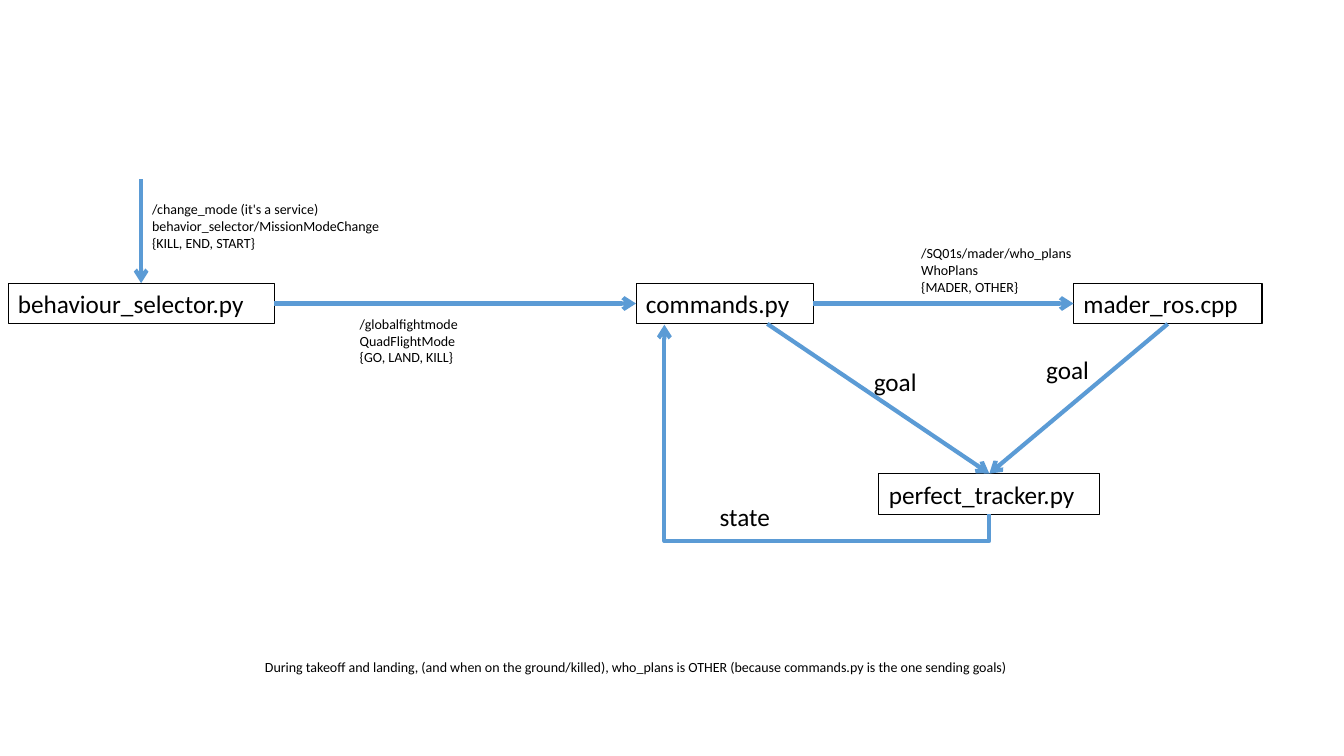
"""Draws the message flow between the flight control nodes on one slide."""
import pptx
import pptx.util
import pptx.dml.color
import pptx.enum.shapes
import pptx.enum.text
import pptx.oxml
import pptx.oxml.ns

qn = pptx.oxml.ns.qn
kinds = pptx.enum.shapes.MSO_CONNECTOR


def tint(code):
    return pptx.dml.color.RGBColor.from_string(code)


class Board:
    cols = 160
    face, ink, blue = "Calibri", "000000", "5B9BD5"
    big, small = 18, 10
    tall = 4.85

    def __init__(self, deck):
        self.slide = deck.slides.add_slide(deck.slide_layouts[6])
        self.cell = deck.slide_width / self.cols

    def size(self, *cells):
        return [round(n * self.cell) for n in cells]

    def letter(self, shape, lines, size):
        frame = shape.text_frame
        frame.text = "\n".join(lines)
        frame.word_wrap = False
        frame.auto_size = pptx.enum.text.MSO_AUTO_SIZE.SHAPE_TO_FIT_TEXT
        for para in frame.paragraphs:
            para.alignment = pptx.enum.text.PP_ALIGN.LEFT
            para.font.name = self.face
            para.font.size = pptx.util.Pt(size)
            para.font.color.rgb = tint(self.ink)

    def node(self, name, col, row, wide):
        shape = self.slide.shapes.add_shape(
            pptx.enum.shapes.MSO_SHAPE.RECTANGLE,
            *self.size(col, row, wide, self.tall))
        shape.shadow.inherit = False
        shape.fill.background()
        shape.line.color.rgb = tint(self.ink)
        shape.line.width = pptx.util.Pt(0.75)
        self.letter(shape, [name], self.big)
        return shape

    def label(self, lines, col, row, wide, high, size):
        shape = self.slide.shapes.add_textbox(
            *self.size(col, row, wide, high))
        self.letter(shape, lines, size)

    def spot(self, shape, across, down):
        return (round(shape.left + across * shape.width),
                round(shape.top + down * shape.height))

    def arrow(self, start, end, kind=kinds.STRAIGHT):
        link = self.slide.shapes.add_connector(kind, *start, *end)
        link.line.color.rgb = tint(self.blue)
        link.line.width = pptx.util.Pt(3)
        props = link._element.spPr
        line = props.find(qn("a:ln"))
        line.append(line.makeelement(qn("a:tailEnd"), {"type": "arrow"}))
        props.append(props.makeelement(qn("a:effectLst"), {}))
        return link

    def loop(self, start, end, *bends):
        wide, high = start[1] - end[1], start[0] - end[0]
        midx, midy = (start[0] + end[0]) // 2, (start[1] + end[1]) // 2
        link = self.arrow((midx + wide // 2, midy - high // 2),
                          (midx - wide // 2, midy + high // 2), kinds.ELBOW)
        props = link._element.spPr
        props.find(qn("a:xfrm")).set("rot", str(90 * 60000))
        shape = props.find(qn("a:prstGeom"))
        shape.set("prst", "bentConnector4")
        guides = shape.find(qn("a:avLst"))
        for num, bend in enumerate(bends, 1):
            guides.append(guides.makeelement(qn("a:gd"), {
                "name": f"adj{num}", "fmla": f"val {round(bend * 100000)}"}))


deck = pptx.Presentation()
deck.slide_width = pptx.util.Inches(13.33)
deck.slide_height = pptx.util.Inches(7.5)
board = Board(deck)
spot = board.spot

top = 33.72
command = board.node("commands.py", 75.72, top, 21.12)
mader = board.node("mader_ros.cpp", 127.8, top, 22.44)
select = board.node("behaviour_selector.py", 0.96, top, 31.68)
track = board.node("perfect_tracker.py", 104.64, 56.4, 26.28)

board.arrow(spot(command, 0.74, 1), spot(track, 0.5, 0))
board.arrow(spot(mader, 0.5, 1), spot(track, 0.5, 0))
board.arrow(spot(select, 1, 0.5), spot(command, 0, 0.5))
board.arrow(spot(command, 1, 0.5), spot(mader, 0, 0.5))
board.arrow(spot(select, 0.5, -2.55), spot(select, 0.5, 0))
board.loop(spot(track, 0.5, 1), spot(command, 0.16, 1.02), -0.14, 1)

for word, col, row, wide in [
        ("goal", 102.84, 43.08, 8.04),
        ("goal", 123.36, 41.64, 8.04),
        ("state", 84.48, 59.16, 8.88)]:
    board.label([word], col, row, wide, board.tall, board.big)

for lines, col, row, wide in [
        (["/globalfightmode", "QuadFlightMode", "{GO, LAND, KILL}"],
         41.64, 36.96, 15.84),
        (["/change_mode (it's a service)",
          "behavior_selector/MissionModeChange", "{KILL, END, START}"],
         16.92, 23.28, 31.68),
        (["/SQ01s/mader/who_plans", "WhoPlans", "{MADER, OTHER}"],
         108.48, 28.56, 21.6)]:
    board.label(lines, col, row, wide, 7.27, board.small)

board.label(["During takeoff and landing, (and when on the ground/killed), "
             "who_plans is OTHER (because commands.py is the one sending "
             "goals)"], 30.36, 77.88, 100.08, 3.23, board.small)

deck.save("out.pptx")
